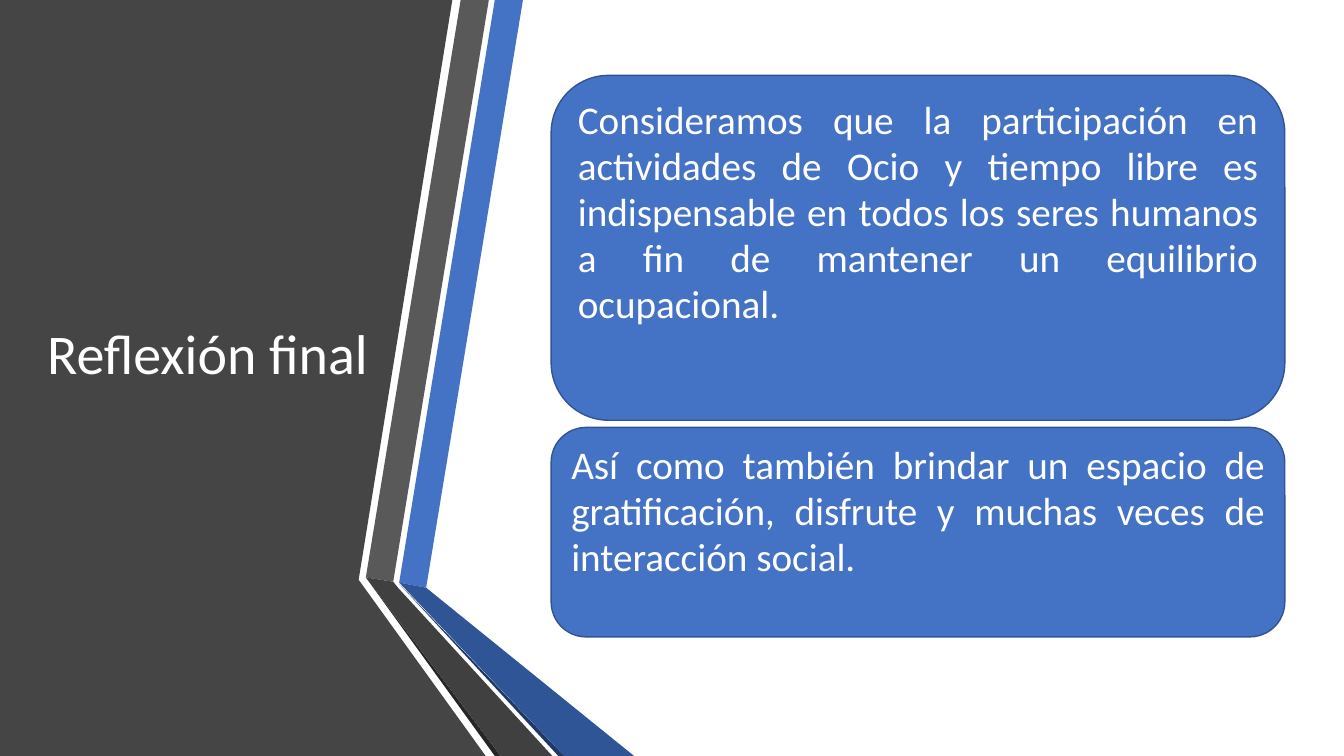
from pptx import Presentation
from pptx.dml.color import RGBColor
from pptx.enum.shapes import MSO_SHAPE
from pptx.enum.text import MSO_ANCHOR, PP_ALIGN
from pptx.util import Cm, Pt

WHITE = RGBColor(0xFF, 0xFF, 0xFF)
PANEL = RGBColor(0x45, 0x45, 0x45)
BLUE = RGBColor(0x44, 0x72, 0xC4)
EDGE = RGBColor(0x32, 0x54, 0x91)
DEEP = RGBColor(0x2F, 0x55, 0x97)
NAVY = RGBColor(0x20, 0x38, 0x64)
GREY = RGBColor(0x59, 0x59, 0x59)
DARK = RGBColor(0x40, 0x40, 0x40)
BLACK = RGBColor(0x26, 0x26, 0x26)

WIDE, HIGH = 33.87, 19.05


class Deck:
    font = "Calibri"

    def __init__(self):
        self.file = Presentation()
        self.file.slide_width = Cm(WIDE)
        self.file.slide_height = Cm(HIGH)
        self.slide = self.file.slides.add_slide(self.file.slide_layouts[6])

    def paint(self, shape, fill):
        shape.shadow.inherit = False
        shape.fill.solid()
        shape.fill.fore_color.rgb = fill

    def outline(self, fill, *points):
        first, *rest = [(Cm(x), Cm(y)) for x, y in points]
        pen = self.slide.shapes.build_freeform(*first)
        pen.add_line_segments(rest, close=True)
        shape = pen.convert_to_shape()
        self.paint(shape, fill)
        shape.line.fill.background()

    def label(self, shape, text, size, anchor, align, space):
        frame = shape.text_frame
        frame.word_wrap = True
        frame.vertical_anchor = anchor
        para = frame.paragraphs[0]
        para.text = text
        para.alignment = align
        para.line_spacing = space
        para.font.name = self.font
        para.font.size = Pt(size)
        para.font.color.rgb = WHITE

    def card(self, text, top, height):
        shape = self.slide.shapes.add_shape(
            MSO_SHAPE.ROUNDED_RECTANGLE, Cm(13.89), Cm(top), Cm(18.49), Cm(height))
        self.paint(shape, BLUE)
        shape.line.color.rgb = EDGE
        shape.line.width = Pt(1)
        self.label(shape, text, 28, MSO_ANCHOR.TOP, PP_ALIGN.JUSTIFY, 0.98)
        shape.text_frame.paragraphs[0].space_after = Pt(6)

    def title(self, text):
        box = self.slide.shapes.add_textbox(Cm(0.94), Cm(1.9), Cm(8.74), Cm(14.17))
        self.label(box, text, 40, MSO_ANCHOR.MIDDLE, PP_ALIGN.LEFT, 0.9)


def main():
    deck = Deck()

    # Dark panel on the left
    deck.outline(PANEL, (0, 0), (11.4, 0), (9.04, 14.61), (12.24, HIGH), (0, HIGH))

    # Upper ribbons
    deck.outline(BLUE, (10.06, 14.68), (10.74, 14.81), (13.18, 0), (12.47, 0))
    deck.outline(GREY, (12.32, 0), (11.61, 0), (9.22, 14.55), (9.91, 14.66))

    # Lower ribbons, with their thin shaded edges
    deck.outline(BLACK, (9.22, 14.55), (12.47, HIGH), (12.62, HIGH))
    deck.outline(NAVY, (10.06, 14.71), (14.07, HIGH), (14.22, HIGH))
    deck.outline(DEEP, (10.06, 14.68), (14.22, HIGH), (15.98, HIGH), (10.74, 14.81))
    deck.outline(DARK, (13.92, HIGH), (10.03, 14.81), (9.91, 14.66),
                 (9.22, 14.55), (12.62, HIGH))

    # Closing thoughts
    deck.card("Consideramos que la participación en actividades de Ocio y tiempo "
              "libre es indispensable en todos los seres humanos a fin de mantener "
              "un equilibrio ocupacional.", 1.9, 8.69)
    deck.card("Así como también brindar un espacio de gratificación, disfrute y "
              "muchas veces de interacción social.", 10.77, 5.28)

    deck.title("Reflexión final")
    deck.file.save("out.pptx")


if __name__ == "__main__":
    main()
